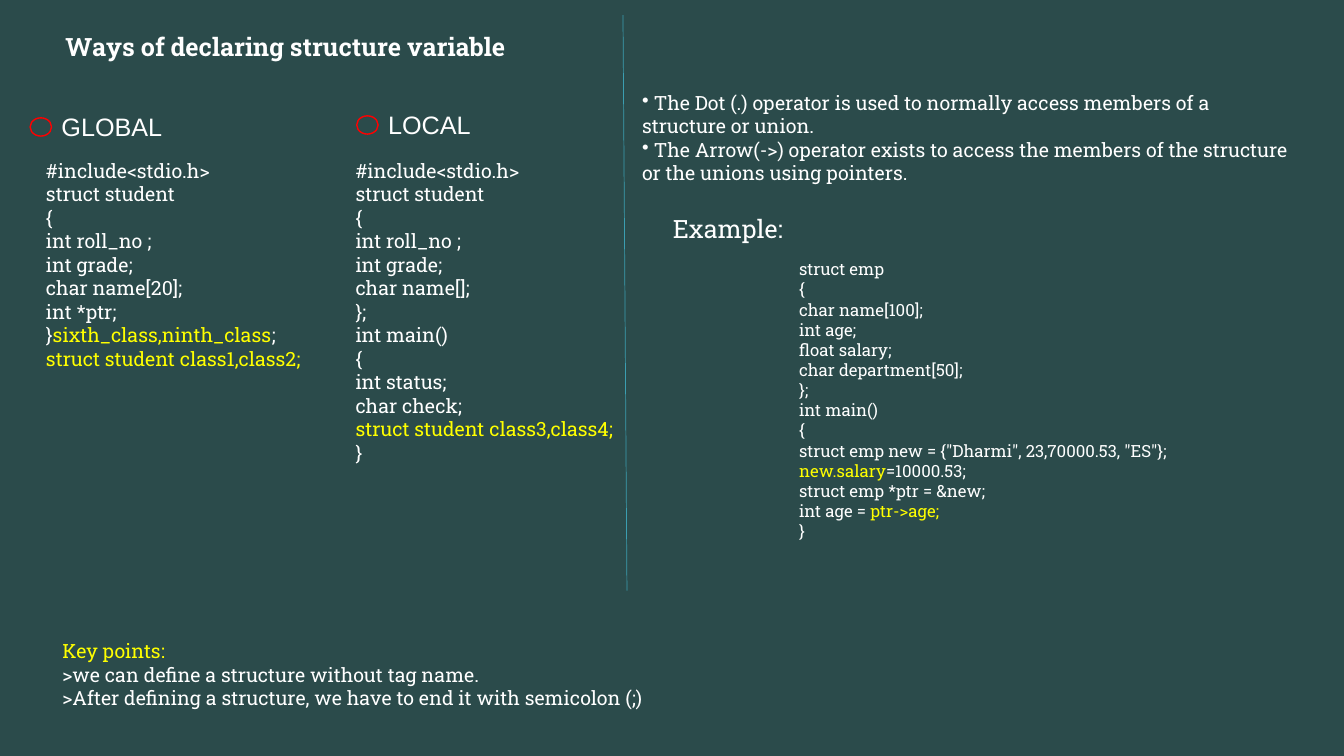
from dataclasses import dataclass

from lxml import etree
from pptx import Presentation
from pptx import util as u
from pptx.dml.color import RGBColor
from pptx.enum import shapes, text
from pptx.oxml.ns import qn


@dataclass(frozen=True)
class Theme:
    background: RGBColor = RGBColor(0x2B, 0x4B, 0x4B)
    plain: RGBColor = RGBColor(0xFF, 0xFF, 0xFF)
    accent: RGBColor = RGBColor(0xFF, 0xFF, 0x00)
    marker: RGBColor = RGBColor(0xFF, 0x00, 0x00)
    divider: RGBColor = RGBColor(0x3B, 0x9E, 0xB1)
    slab: str = "Roboto Slab"
    sans: str = "Arial"
    heading: int = 18
    body: int = 14
    code: int = 12


theme = Theme()


def write_lines(frame, lines, size, font=theme.slab):
    for index, line in enumerate(lines):
        paragraph = frame.paragraphs[0] if index == 0 else frame.add_paragraph()
        paragraph.alignment = text.PP_ALIGN.LEFT
        paragraph.font.name = font
        paragraph.font.size = u.Pt(size)
        paragraph.font.color.rgb = theme.plain
        for position, piece in enumerate(line.split("|")):
            if piece:
                run = paragraph.add_run()
                run.text = piece
                run.font.name = font
                run.font.size = u.Pt(size)
                run.font.color.rgb = theme.accent if position % 2 else theme.plain


def add_text(left, top, width, height, content, size, font=theme.slab):
    box = slide.shapes.add_textbox(u.Cm(left), u.Cm(top), u.Cm(width), u.Cm(height))
    frame = box.text_frame
    frame.word_wrap = True
    frame.auto_size = text.MSO_AUTO_SIZE.SHAPE_TO_FIT_TEXT
    write_lines(frame, content.strip().splitlines(), size, font)
    return frame


presentation = Presentation()
presentation.slide_width = u.Cm(33.87)
presentation.slide_height = u.Cm(19.05)
slide = presentation.slides.add_slide(presentation.slide_layouts[5])
slide.background.fill.solid()
slide.background.fill.fore_color.rgb = theme.background

title = slide.shapes.title
title.left, title.top, title.width, title.height = u.Cm(1.65), u.Cm(0.79), u.Cm(13.18), u.Cm(0.97)
frame = title.text_frame
frame.margin_left = frame.margin_top = frame.margin_right = frame.margin_bottom = 0
frame.vertical_anchor = text.MSO_ANCHOR.TOP
write_lines(frame, ["Ways of declaring structure variable"], theme.heading)
frame.paragraphs[0].runs[0].font.bold = True

add_text(1.32, 15.98, 30.73, 2.06, """
|Key points:|
>we can define a structure without tag name.
>After defining a structure, we have to end it with semicolon (;)
""", theme.body)

global_code = """
#include<stdio.h>
struct student
{
int roll_no ;
int grade;
char name[20];
int *ptr;
}|sixth_class,ninth_class|;
|struct student class1,class2;|
"""
local_code = """
#include<stdio.h>
struct student
{
int roll_no ;
int grade;
char name[];
};
int main()
{
int status;
char check;
|struct student class3,class4;|
}
"""
scopes = [
    ("GLOBAL", 0.76, 2.69, 0.91, 13.92, 5.65, global_code),
    ("LOCAL", 8.99, 2.64, 8.71, 11.66, 8.04, local_code),
]
for name, left, top, code_left, code_width, code_height, code in scopes:
    add_text(code_left, 3.87, code_width, code_height, code, theme.body)
    add_text(left + 0.54, top, 4.8, 1.02, name, theme.heading, theme.sans)
    marker = slide.shapes.add_shape(
        shapes.MSO_SHAPE.OVAL, u.Cm(left), u.Cm(top + 0.28), u.Cm(0.54), u.Cm(0.46))
    marker.shadow.inherit = False
    marker.fill.background()
    marker.line.color.rgb = theme.marker
    marker.line.width = u.Pt(1)

divider = slide.shapes.add_connector(
    shapes.MSO_CONNECTOR.STRAIGHT, u.Cm(15.7), u.Cm(0.38), u.Cm(15.8), u.Cm(14.88))
divider.line.color.rgb = theme.divider
divider.line.width = u.Pt(0.5)
etree.SubElement(divider.element.spPr, qn("a:effectLst"))

operators = add_text(15.93, 2.16, 16.99, 2.64, """
The Dot (.) operator is used to normally access members of a structure or union.
The Arrow(->) operator exists to access the members of the structure or the unions using pointers.
""", theme.body)
for paragraph in operators.paragraphs:
    paragraph.runs[0].text = " " + paragraph.runs[0].text
    properties = paragraph._p.get_or_add_pPr()
    properties.set("marL", "0")
    properties.set("indent", "0")
    bullet = etree.Element(qn("a:buChar"), char="•")
    properties.insert(0, bullet)

add_text(16.71, 5.26, 5.56, 1.02, "Example:", theme.heading)
add_text(19.89, 6.4, 10.74, 7.44, """
struct emp
{
char name[100];
int age;
float salary;
char department[50];
};
int main()
{
struct emp new = {"Dharmi", 23,70000.53, "ES"};
|new.salary|=10000.53;
struct emp *ptr = &new;
int age = |ptr->age;|
}
""", theme.code)

presentation.save("out.pptx")
